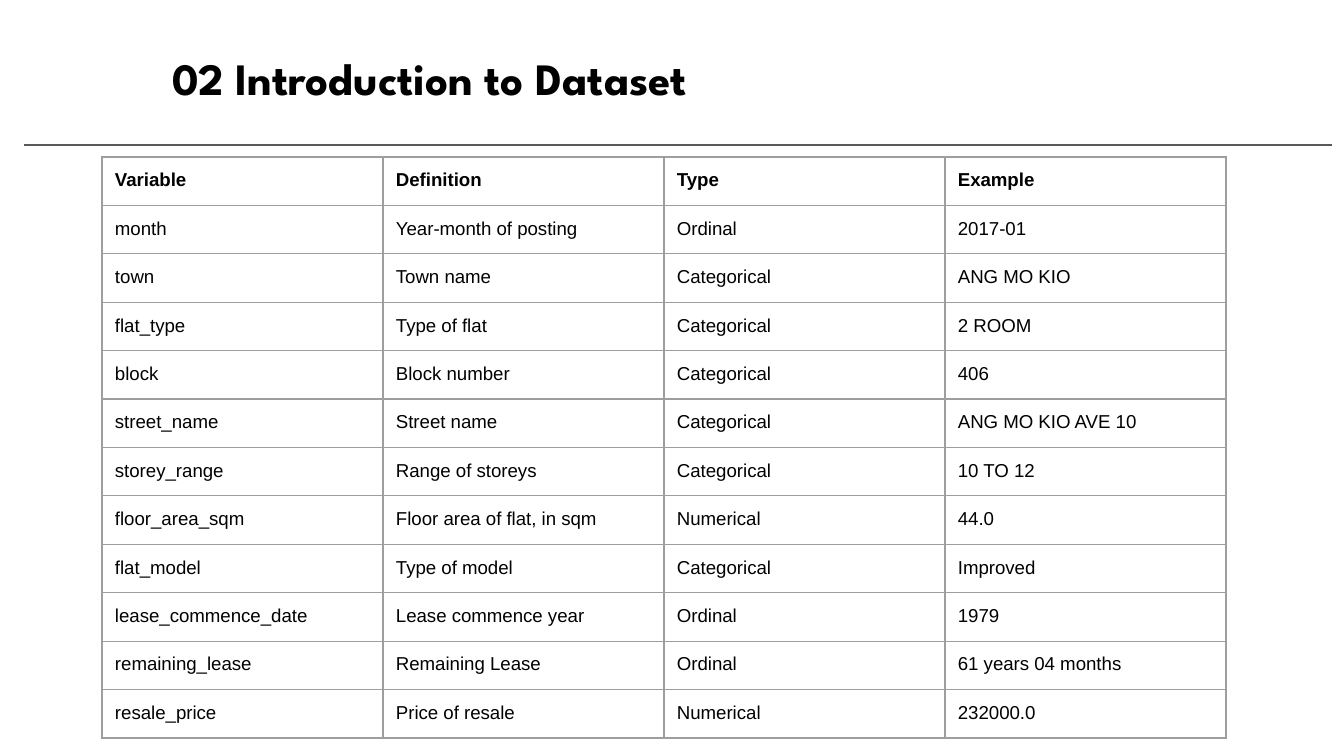
import pptx
import pptx.util
import pptx.dml.color
import pptx.enum.shapes
import pptx.oxml
import pptx.oxml.ns

PX = 914400 / 134.4
HUES = {"ink": "000000", "rule": "595959", "grid": "9E9E9E"}
PAD = 13
HEAD = {"name": "League Spartan", "size": pptx.util.Pt(24), "bold": True}
BODY = {"name": "Arial", "size": pptx.util.Pt(10), "bold": False}
ROWS = [
    ("Variable", "Definition", "Type", "Example"),
    ("month", "Year-month of posting", "Ordinal", "2017-01"),
    ("town", "Town name", "Categorical", "ANG MO KIO"),
    ("flat_type", "Type of flat", "Categorical", "2 ROOM"),
    ("block", "Block number", "Categorical", "406"),
    ("street_name", "Street name", "Categorical", "ANG MO KIO AVE 10"),
    ("storey_range", "Range of storeys", "Categorical", "10 TO 12"),
    ("floor_area_sqm", "Floor area of flat, in sqm", "Numerical", "44.0"),
    ("flat_model", "Type of model", "Categorical", "Improved"),
    ("lease_commence_date", "Lease commence year", "Ordinal", "1979"),
    ("remaining_lease", "Remaining Lease", "Ordinal", "61 years 04 months"),
    ("resale_price", "Price of resale", "Numerical", "232000.0"),
]


def emu(*nums):
    return [pptx.util.Emu(round(n * PX)) for n in nums]


def tint(name):
    return pptx.dml.color.RGBColor.from_string(HUES[name])


def inset(item):
    for side in ("left", "top", "right", "bottom"):
        setattr(item, "margin_" + side, emu(PAD)[0])


def write(frame, text, form):
    run = frame.paragraphs[0].add_run()
    run.text = text
    for key, val in form.items():
        setattr(run.font, key, val)
    run.font.color.rgb = tint("ink")


def edge(cell):
    props = cell._tc.get_or_add_tcPr()
    # Borders must come before the fill
    for spot, side in enumerate("LRTB"):
        props.insert(spot, pptx.oxml.parse_xml(
            f'<a:ln{side} {pptx.oxml.ns.nsdecls("a")} w="9525"><a:solidFill>'
            f'<a:srgbClr val="{HUES["grid"]}"/></a:solidFill></a:ln{side}>'))


def title(slide, x, y, w, h):
    frame = slide.shapes.add_textbox(*emu(x, y, w, h)).text_frame
    frame.word_wrap = True
    inset(frame)
    write(frame, "02 Introduction to Dataset", HEAD)


def rule(slide, x, y, w):
    line = slide.shapes.add_connector(
        pptx.enum.shapes.MSO_CONNECTOR.STRAIGHT, *emu(x, y, x + w, y))
    line.line.color.rgb = tint("rule")
    line.line.width = pptx.util.Pt(0.75)
    line._element.spPr.append(pptx.oxml.parse_xml(
        f'<a:effectLst {pptx.oxml.ns.nsdecls("a")}/>'))


def grid(slide, x, y, w, h):
    table = slide.shapes.add_table(
        len(ROWS), len(ROWS[0]), *emu(x, y, w, h)).table
    table.first_row = table.horz_banding = False
    for r, row in enumerate(ROWS):
        for c, text in enumerate(row):
            cell = table.cell(r, c)
            inset(cell)
            cell.fill.background()
            edge(cell)
            write(cell.text_frame, text, {**BODY, "bold": r == 0})


def main():
    deck = pptx.Presentation()
    deck.slide_width, deck.slide_height = emu(1344, 756)
    slide = deck.slides.add_slide(deck.slide_layouts[6])
    # Heading and the line under it
    title(slide, 159, 38, 1140, 85)
    rule(slide, 24, 145, 1308)
    # Variables of the dataset
    grid(slide, 102, 157, 1124, 528)
    deck.save("out.pptx")


if __name__ == "__main__":
    main()
